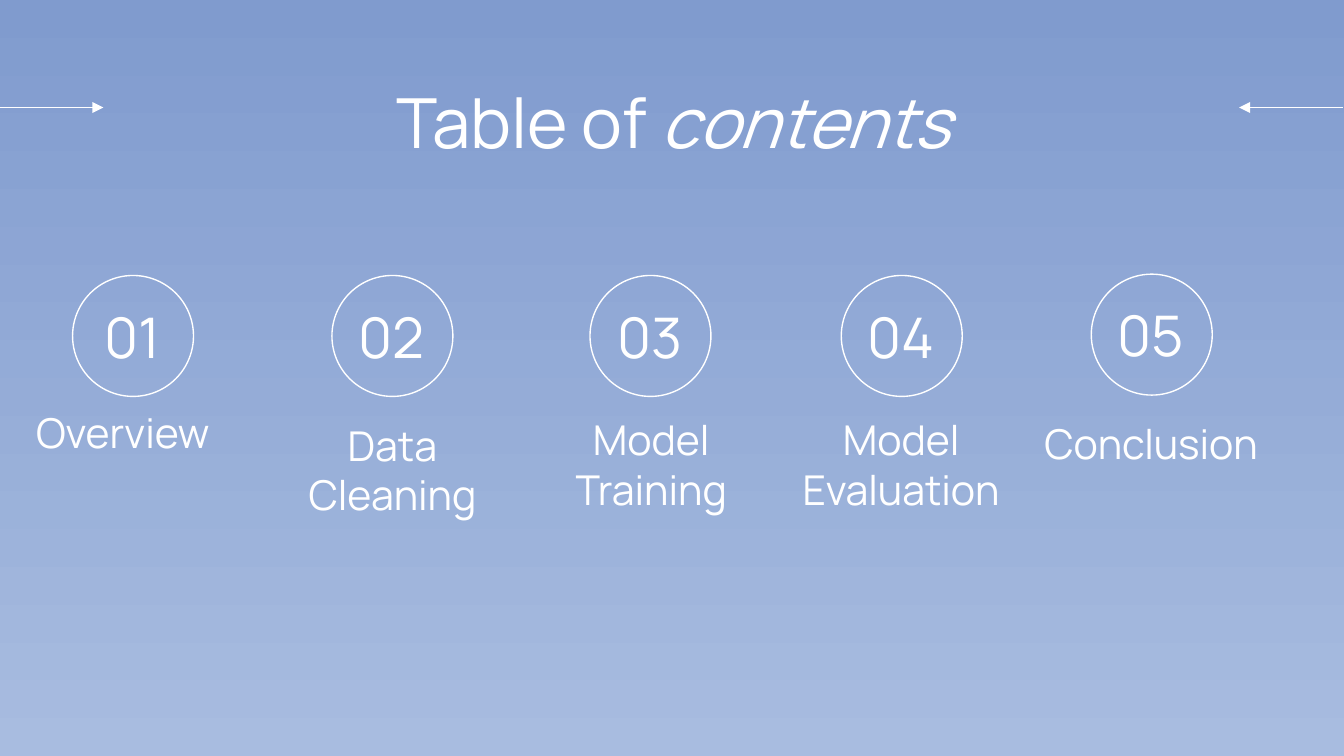
from lxml import etree
from pptx import Presentation
from pptx.dml.color import RGBColor
from pptx.enum.shapes import MSO_CONNECTOR, MSO_SHAPE
from pptx.enum.text import MSO_ANCHOR, PP_ALIGN
from pptx.oxml.ns import qn
from pptx.util import Inches, Pt

LEFT, CENTER = PP_ALIGN.LEFT, PP_ALIGN.CENTER
TOP, MIDDLE, BOTTOM = MSO_ANCHOR.TOP, MSO_ANCHOR.MIDDLE, MSO_ANCHOR.BOTTOM
STRAIGHT = MSO_CONNECTOR.STRAIGHT
OVAL = MSO_SHAPE.OVAL
COLORS = {"sky_top": "809BCE", "sky_bottom": "A8BCE0", "white": "FFFFFF"}
WHITE = RGBColor.from_string(COLORS["white"])
FONT = "Manrope"
CIRCLE = 0.9


def add_text(box, lines, size, anchor, align=CENTER):
    tb = slide.shapes.add_textbox(*[Inches(v) for v in box])
    tf = tb.text_frame
    tf.word_wrap = True
    tf.vertical_anchor = anchor
    tf.margin_left = tf.margin_right = Inches(0.1)
    tf.margin_top = tf.margin_bottom = Inches(0.1)
    for i, runs in enumerate(lines):
        p = tf.add_paragraph() if i else tf.paragraphs[0]
        p.alignment = align
        for text, italic in runs:
            r = p.add_run()
            r.text = text
            r.font.name = FONT
            r.font.size = Pt(size)
            r.font.italic = italic
            r.font.color.rgb = WHITE


prs = Presentation()
prs.slide_width = Inches(10)
prs.slide_height = Inches(10 * 9 / 16)
slide = prs.slides.add_slide(prs.slide_layouts[6])

fill = slide.background.fill
fill.gradient()
fill.gradient_angle = 270
for stop, position, name in zip(fill.gradient_stops, (0, 1), ("sky_top", "sky_bottom")):
    stop.position = position
    stop.color.rgb = RGBColor.from_string(COLORS[name])

for x1, x2, end in [(0, 0.77, "a:tailEnd"), (9.22, 9.99, "a:headEnd")]:
    arrow = slide.shapes.add_connector(
        STRAIGHT, Inches(x1), Inches(0.8), Inches(x2), Inches(0.8))
    arrow.line.color.rgb = WHITE
    arrow.line.width = Pt(0.75)
    etree.SubElement(arrow.line._get_or_add_ln(), qn(end), type="triangle")
    etree.SubElement(arrow._element.spPr, qn("a:effectLst"))

add_text((0.79, 0.49, 8.44, 0.63), [[("Table of", False), (" contents", True)]], 37, TOP)

sections = [
    (0.54, 2.05, (0.17, 2.95, 1.65, 0.55), ["Overview"], LEFT),
    (2.47, 2.05, (2.01, 3.41, 1.82, 0.55), ["Data", "Cleaning"], CENTER),
    (4.39, 2.05, (3.99, 3.37, 1.71, 0.55), ["Model", "Training"], CENTER),
    (6.26, 2.05, (5.7, 3.37, 2.01, 0.55), ["Model", "Evaluation"], CENTER),
    (8.12, 2.04, (7.56, 3.03, 2.01, 0.55), ["Conclusion"], CENTER),
]
for number, (x, y, label_box, label, align) in enumerate(sections, 1):
    sp = slide.shapes.add_shape(OVAL, Inches(x), Inches(y), Inches(CIRCLE), Inches(CIRCLE))
    sp.shadow.inherit = False
    sp.fill.background()
    sp.line.color.rgb = WHITE
    sp.line.width = Pt(0.75)
    add_text((x + 0.06, y, 0.77, CIRCLE), [[(f"{number:02}", False)]], 30, MIDDLE)
    add_text(label_box, [[(line, False)] for line in label], 22, BOTTOM, align)

prs.save("out.pptx")
